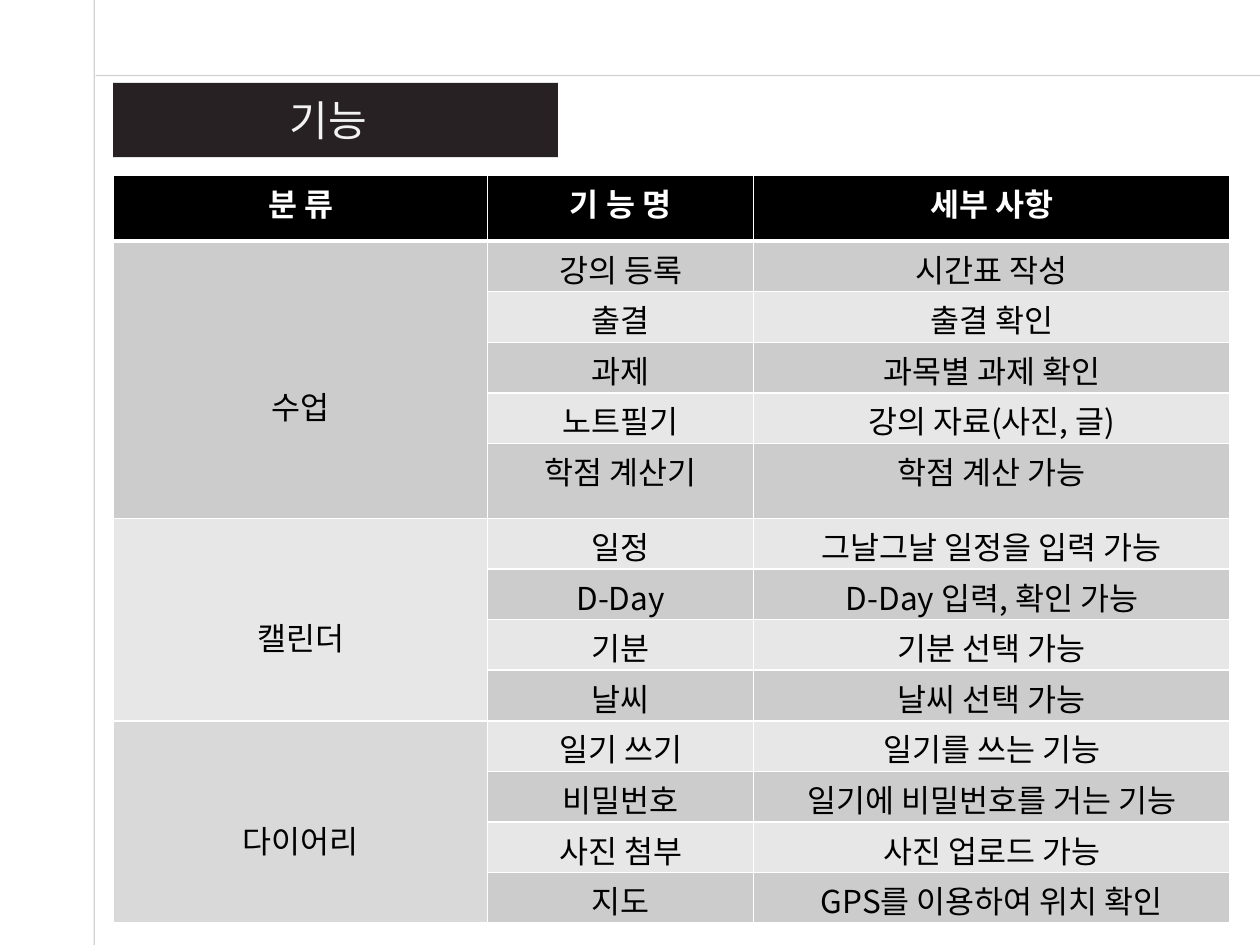
from lxml import etree
from pptx import Presentation
from pptx.dml.color import RGBColor as Rgb
from pptx.enum.shapes import MSO_CONNECTOR as Link, MSO_SHAPE as Shape
from pptx.enum.text import MSO_AUTO_SIZE as Fit, PP_ALIGN as Align
from pptx.oxml.ns import qn
from pptx.util import Cm, Pt

HUES = {
    "rule": "A6A6A6", "bar": "272123", "title": "F2F2F2",
    "head": "000000", "dark": "CCCCCC", "light": "E7E7E7", "mid": "D9D9D9",
    "ink": "000000", "white": "FFFFFF",
}
FONT = "Noto Sans CJK KR"
HEADS = ["분 류", "기 능 명", "세부 사항"]
# Group name, its fill, lines of space above the name, and its features
GROUPS = [
    ("수업", "dark", 3, [
        ("강의 등록", "시간표 작성"),
        ("출결", "출결 확인"),
        ("과제", "과목별 과제 확인"),
        ("노트필기", "강의 자료(사진, 글)"),
        ("학점 계산기", "학점 계산 가능")]),
    ("캘린더", "light", 2, [
        ("일정", "그날그날 일정을 입력 가능"),
        ("D-Day", "D-Day 입력, 확인 가능"),
        ("기분", "기분 선택 가능"),
        ("날씨", "날씨 선택 가능")]),
    ("다이어리", "mid", 2, [
        ("일기 쓰기", "일기를 쓰는 기능"),
        ("비밀번호", "일기에 비밀번호를 거는 기능"),
        ("사진 첨부", "사진 업로드 가능"),
        ("지도", "GPS를 이용하여 위치 확인")]),
]
COLS = [7.54, 5.36, 9.61]
HEAD_H, ROW_H, TALL_H, TALL_ROW = 1.32, 1.02, 1.51, 5
PAD, LINE_H = 0.09, 0.92


def color(name):
    return Rgb.from_string(HUES[name])


def add_rule(slide, x1, y1, x2, y2):
    rule = slide.shapes.add_connector(
        Link.STRAIGHT, Cm(x1), Cm(y1), Cm(x2), Cm(y2))
    rule.line.width = Pt(0.75)
    rule.line.color.rgb = color("rule")
    props = rule._element.spPr
    hue = next(props.iter(qn("a:srgbClr")))
    etree.SubElement(hue, qn("a:alpha"), val="50000")
    etree.SubElement(props, qn("a:effectLst"))


def add_bar(slide):
    bar = slide.shapes.add_shape(
        Shape.RECTANGLE, Cm(2.28), Cm(1.67), Cm(8.97), Cm(1.5))
    bar.shadow.inherit = False
    bar.fill.solid()
    bar.fill.fore_color.rgb = color("bar")
    bar.line.fill.background()


def set_text(frame, text, size, hue, font, bold=False):
    para = frame.paragraphs[0]
    para.text = text
    para.alignment = Align.CENTER
    run = para.runs[0]
    run.font.size = Pt(size)
    run.font.bold = bold
    run.font.name = font
    run.font.color.rgb = color(hue)
    etree.SubElement(run.font._element, qn("a:ea"), typeface=FONT)


def add_title(slide):
    box = slide.shapes.add_textbox(Cm(1.98), Cm(1.78), Cm(9.27), Cm(1.27))
    frame = box.text_frame
    frame.word_wrap = True
    frame.auto_size = Fit.SHAPE_TO_FIT_TEXT
    set_text(frame, "기능", 24, "title", "Arial")


def set_edges(cell, base):
    """Draw white cell borders; base is the bottom width in points."""
    props = cell._tc.get_or_add_tcPr()
    for side, width in zip("LRTB", (1, 1, 1, base)):
        edge = etree.SubElement(props, qn(f"a:ln{side}"), w=str(Pt(width)))
        fill = etree.SubElement(edge, qn("a:solidFill"))
        etree.SubElement(fill, qn("a:srgbClr"), val=HUES["white"])


def set_cell(cell, text, fill, lead=0, head=False):
    """Fill a cell; lead is the number of lines of space above its text."""
    set_text(cell.text_frame, text, 18, "white" if head else "ink", FONT, head)
    cell.margin_top = Cm(PAD + lead * LINE_H)
    cell.margin_bottom = 0
    set_edges(cell, 3 if head else 1)
    cell.fill.solid()
    cell.fill.fore_color.rgb = color(fill)


def add_grid(slide):
    count = 1 + sum(len(group[3]) for group in GROUPS)
    high = HEAD_H + TALL_H + (count - 2) * ROW_H
    grid = slide.shapes.add_table(
        count, len(COLS), Cm(2.29), Cm(3.54), Cm(sum(COLS)), Cm(high)).table
    for col, width in zip(grid.columns, COLS):
        col.width = Cm(width)
    for row in grid.rows:
        row.height = Cm(ROW_H)
    grid.rows[0].height = Cm(HEAD_H)
    grid.rows[TALL_ROW].height = Cm(TALL_H)

    for col, text in enumerate(HEADS):
        set_cell(grid.cell(0, col), text, "head", head=True)
    top = 1
    for name, fill, lead, items in GROUPS:
        end = top + len(items)
        grid.cell(top, 0).merge(grid.cell(end - 1, 0))
        set_cell(grid.cell(top, 0), name, fill, lead)
        for row, pair in enumerate(items, top):
            for col, text in enumerate(pair, 1):
                set_cell(grid.cell(row, col), text,
                         "dark" if row % 2 else "light")
        top = end


def main():
    deck = Presentation()
    deck.slide_width, deck.slide_height = Cm(25.4), Cm(19.05)
    slide = deck.slides.add_slide(deck.slide_layouts[6])
    add_rule(slide, 1.9, -1.04, 1.9, 19.74)
    add_rule(slide, 27.74, 1.52, 1.93, 1.52)
    add_bar(slide)
    add_title(slide)
    add_grid(slide)
    deck.save("out.pptx")


if __name__ == "__main__":
    main()
